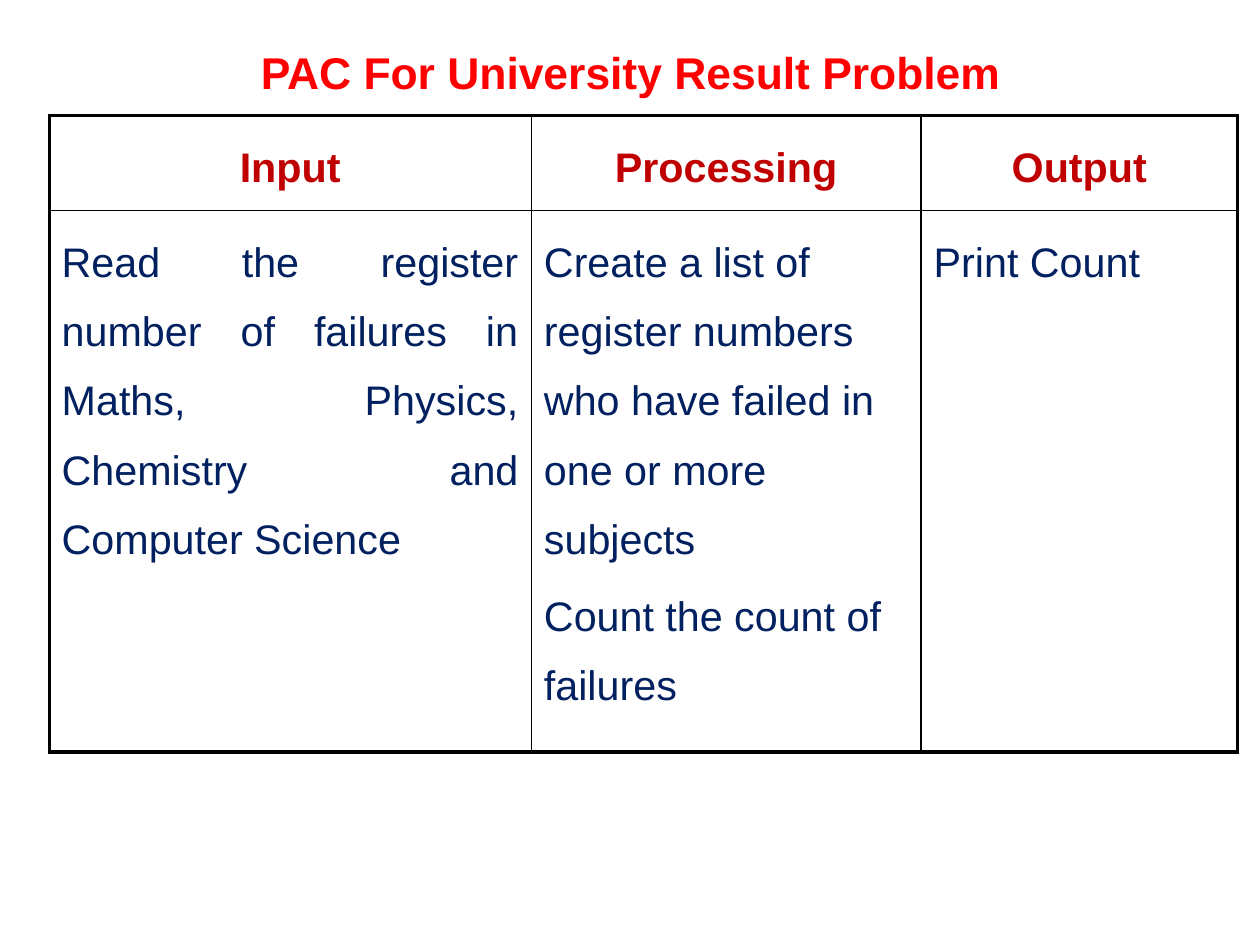
from lxml import etree
from pptx import Presentation
from pptx.dml.color import RGBColor
from pptx.enum.text import MSO_ANCHOR, PP_ALIGN
from pptx.oxml.ns import qn
from pptx.util import Inches, Pt

TITLE = "PAC For University Result Problem"
HEADS = ["Input", "Processing", "Output"]
BODY = [
    ["Read the register number of failures in Maths, Physics, Chemistry and Computer Science"],
    ["Create a list of register numbers who have failed in one or more subjects",
     "Count the count of failures"],
    ["Print Count"],
]
COLS = [4.22, 3.41, 2.77]
ROWS = [0.83, 4.34]
WIDE, HIGH = Pt(793.75), Pt(595.25)
LEFT, TOP, SPAN, DEPTH = (Inches(n) for n in (0.43, 1.01, 10.39, 5.57))
THICK, THIN = 2.25, 1
FONT = "Arial"
RED = RGBColor(0xFF, 0x00, 0x00)
DARK = RGBColor(0xC0, 0x00, 0x00)
NAVY = RGBColor(0x00, 0x20, 0x60)
BLACK = RGBColor(0x00, 0x00, 0x00)
CENTER, LEAD, FULL = PP_ALIGN.CENTER, PP_ALIGN.LEFT, PP_ALIGN.JUSTIFY
MIDDLE = MSO_ANCHOR.MIDDLE


def write(para, text, size, color, bold, align):
    para.alignment = align
    run = para.add_run()
    run.text = text
    font = run.font
    font.name, font.size, font.bold = FONT, Pt(size), bold
    font.color.rgb = color


def space(para):
    para.line_spacing = 1.5
    gap = etree.SubElement(para._p.get_or_add_pPr(), qn("a:spcBef"))
    etree.SubElement(gap, qn("a:spcPct"), val="20000")


def border(cell, side, width):
    props = cell._tc.get_or_add_tcPr()
    line = etree.SubElement(props, qn("a:ln" + side), w=str(Pt(width)))
    fill = etree.SubElement(line, qn("a:solidFill"))
    etree.SubElement(fill, qn("a:srgbClr"), val=str(BLACK))


def fill_cell(cell, row, col):
    edges = {"L": col == 0, "R": col == len(COLS) - 1,
             "T": row == 0, "B": row == len(ROWS) - 1}
    for side, outer in edges.items():
        border(cell, side, THICK if outer else THIN)
    cell.fill.background()
    cell.margin_left = cell.margin_right = Inches(0.11)
    cell.margin_top = cell.margin_bottom = Inches(0.06)
    head = row == 0
    lines = [HEADS[col]] if head else BODY[col]
    align = CENTER if head else FULL if col == 0 else LEAD
    frame = cell.text_frame
    for i, text in enumerate(lines):
        para = frame.add_paragraph() if i else frame.paragraphs[0]
        space(para)
        write(para, text, 26, DARK if head else NAVY, head, align)


def main():
    """Build the input, processing and output chart slide."""
    deck = Presentation()
    deck.slide_width, deck.slide_height = WIDE, HIGH
    slide = deck.slides.add_slide(deck.slide_layouts[6])

    box = slide.shapes.add_textbox(Inches(0.37), Inches(0.18), Inches(10.29), Inches(0.9))
    frame = box.text_frame
    frame.word_wrap = True
    frame.vertical_anchor = MIDDLE
    frame.margin_left = frame.margin_right = frame.margin_top = frame.margin_bottom = 0
    write(frame.paragraphs[0], TITLE, 28, RED, True, CENTER)

    holder = slide.shapes.add_table(len(ROWS), len(COLS), LEFT, TOP, SPAN, DEPTH)
    table = holder.table
    table.first_row = table.horz_banding = False
    for col, width in enumerate(COLS):
        table.columns[col].width = Inches(width)
    for row, height in enumerate(ROWS):
        table.rows[row].height = Inches(height)
        for col in range(len(COLS)):
            fill_cell(table.cell(row, col), row, col)
    holder.width, holder.height = SPAN, DEPTH
    deck.save("out.pptx")


if __name__ == "__main__":
    main()
